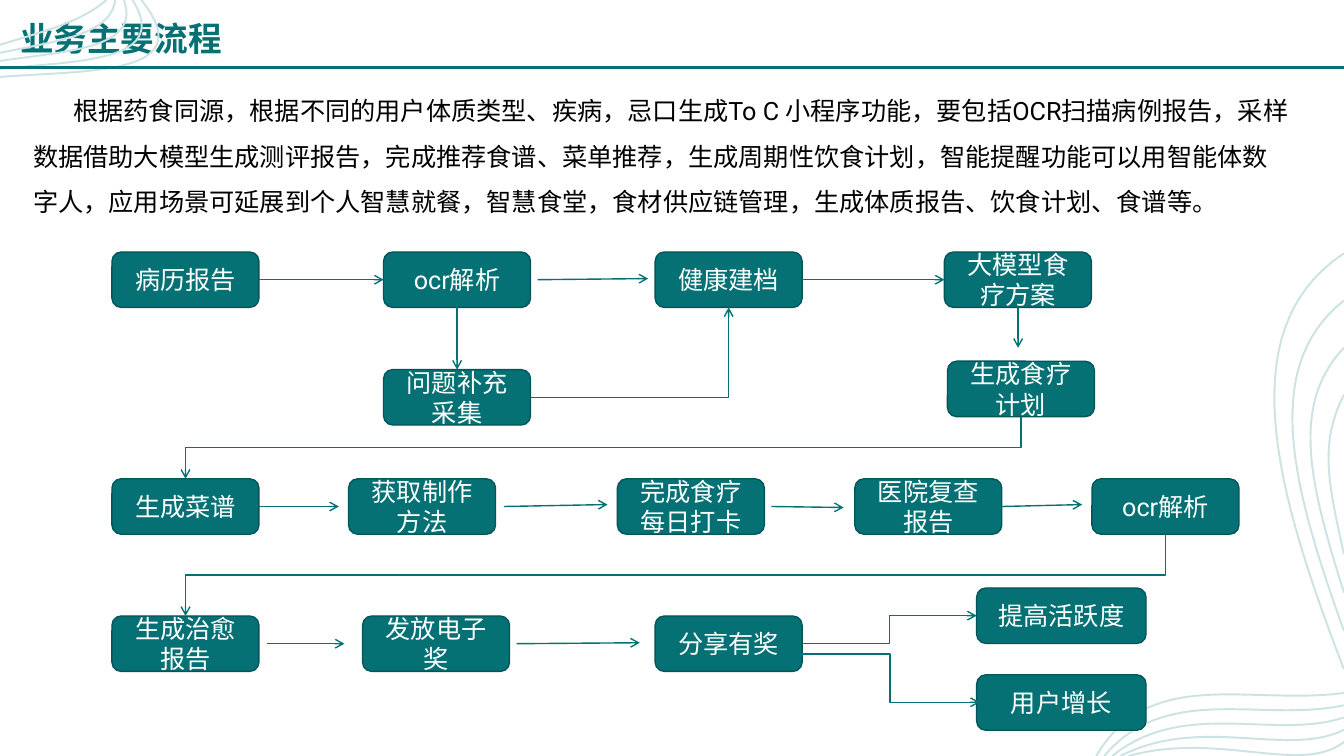
from dataclasses import dataclass
from lxml.etree import SubElement
from pptx import Presentation
from pptx.dml.color import RGBColor
from pptx.enum.lang import MSO_LANGUAGE_ID
from pptx.enum.shapes import MSO_CONNECTOR, MSO_SHAPE
from pptx.enum.text import MSO_ANCHOR, MSO_AUTO_SIZE, PP_ALIGN
from pptx.oxml.ns import qn
from pptx.util import Pt


@dataclass(frozen=True)
class Theme:
    teal: RGBColor = RGBColor.from_string("057174")
    edge: RGBColor = RGBColor.from_string("045557")
    wave: RGBColor = RGBColor.from_string("CDE3E3")
    black: RGBColor = RGBColor.from_string("000000")
    white: RGBColor = RGBColor.from_string("FFFFFF")
    font: str = "Roboto"
    title: int = 24
    body: int = 18


theme = Theme()
prs = Presentation()
prs.slide_width, prs.slide_height = Pt(960), Pt(540)
s = prs.slides.add_slide(prs.slide_layouts[5])


def write(sp, text, size, color, align, anchor, bold=False):
    tf = sp.text_frame
    tf.text = text
    tf.word_wrap = True
    tf.auto_size = MSO_AUTO_SIZE.NONE
    tf.vertical_anchor = anchor
    p = tf.paragraphs[0]
    p.alignment = align
    font = p.runs[0].font
    font.name, font.size, font.bold = theme.font, Pt(size), bold
    font.color.rgb = color
    font.language_id = MSO_LANGUAGE_ID.SIMPLIFIED_CHINESE
    return p


def connect(kind, x1, y1, x2, y2, width=1, arrow=True):
    c = s.shapes.add_connector(kind, Pt(x1), Pt(y1), Pt(x2), Pt(y2))
    c.line.color.rgb = theme.teal
    c.line.width = Pt(width)
    if arrow:
        SubElement(c.line._get_or_add_ln(), qn("a:tailEnd"), type="arrow")
    SubElement(c.element.spPr, qn("a:effectLst"))
    return c


# Background waves: each family blends from an outer to an inner cubic curve
WAVES = [
    (5, [(101, 0), (144, 54), (65, 50), (0, 55)], [(76, 0), (58, 16), (29, 23), (0, 32)]),
    (4, [(960, 181), (880, 234), (909, 346), (960, 478)],
        [(960, 282), (942, 317), (949, 346), (960, 396)]),
    (5, [(960, 495), (893, 504), (821, 475), (783, 540)],
        [(960, 530), (929, 554), (871, 522), (806, 540)]),
]
STEPS = 30
for count, outer, inner in WAVES:
    for n in range(count):
        blend = n / (count - 1)
        curve = [[a + (b - a) * blend for a, b in zip(q1, q2)]
                 for q1, q2 in zip(outer, inner)]
        points = []
        for step in range(STEPS + 1):
            t = step / STEPS
            weights = ((1 - t) ** 3, 3 * t * (1 - t) ** 2, 3 * t * t * (1 - t), t ** 3)
            points.append([Pt(sum(w * q[axis] for w, q in zip(weights, curve)))
                           for axis in (0, 1)])
        builder = s.shapes.build_freeform(*points[0])
        builder.add_line_segments(points[1:], close=False)
        sp = builder.convert_to_shape()
        sp.shadow.inherit = False
        sp.fill.background()
        sp.line.color.rgb = theme.wave
        sp.line.width = Pt(1.4)

# Title and rule
title = s.shapes.title
title.left, title.top, title.width, title.height = Pt(7.2), Pt(9.4), Pt(244), Pt(36)
write(title, "业务主要流程", theme.title, theme.teal, PP_ALIGN.LEFT, MSO_ANCHOR.TOP, True)
connect(MSO_CONNECTOR.STRAIGHT, 0, 48.2, 960, 48.2, width=2.5, arrow=False)

# Introduction
intro = s.shapes.add_textbox(Pt(16.6), Pt(54), Pt(913.7), Pt(73.4))
p = write(intro, "根据药食同源，根据不同的用户体质类型、疾病，忌口生成To C 小程序功能，"
          "要包括OCR扫描病例报告，采样数据借助大模型生成测评报告，完成推荐食谱、菜单推荐，"
          "生成周期性饮食计划，智能提醒功能可以用智能体数字人，应用场景可延展到个人智慧就餐，"
          "智慧食堂，食材供应链管理，生成体质报告、饮食计划、食谱等。",
          theme.body, theme.black, PP_ALIGN.LEFT, MSO_ANCHOR.TOP)
p.line_spacing = 1.5
p._p.get_or_add_pPr().set("indent", str(Pt(28.6)))

# Process steps by row: top, width, then name, text and left of each box
STEP_H = 39.6
ROWS = [
    (180, 105, [("record", "病历报告", 80), ("ocr", "ocr解析", 274),
                ("profile", "健康建档", 468), ("therapy", "大模型食疗方案", 674.6)]),
    (258, 105, [("plan", "生成食疗计划", 676.8)]),
    (264, 105, [("extra", "问题补充采集", 274)]),
    (342, 105, [("menu", "生成菜谱", 80), ("method", "获取制作方法", 249),
                ("checkin", "完成食疗每日打卡", 441), ("review", "医院复查报告", 610.6),
                ("ocr2", "ocr解析", 780)]),
    (440, 105, [("cured", "生成治愈报告", 80), ("award", "发放电子奖", 259),
                ("share", "分享有奖", 468)]),
    (420, 121, [("active", "提高活跃度", 697.6)]),
    (482, 121, [("growth", "用户增长", 697.6)]),
]
steps = {}
for top, width, boxes in ROWS:
    for name, text, left in boxes:
        sp = s.shapes.add_shape(MSO_SHAPE.ROUNDED_RECTANGLE,
                                Pt(left), Pt(top), Pt(width), Pt(STEP_H))
        sp.shadow.inherit = False
        sp.fill.solid()
        sp.fill.fore_color.rgb = theme.teal
        sp.line.color.rgb = theme.edge
        sp.line.width = Pt(1)
        write(sp, text, theme.body, theme.white, PP_ALIGN.CENTER, MSO_ANCHOR.MIDDLE)
        steps[name] = sp

# Joined arrows
TOP, LEFT, BOTTOM, RIGHT = range(4)
for kind, start, side1, end, side2 in [
    (MSO_CONNECTOR.STRAIGHT, "record", RIGHT, "ocr", LEFT),
    (MSO_CONNECTOR.STRAIGHT, "ocr", BOTTOM, "extra", TOP),
    (MSO_CONNECTOR.STRAIGHT, "profile", RIGHT, "therapy", LEFT),
    (MSO_CONNECTOR.ELBOW, "extra", RIGHT, "profile", BOTTOM),
    (MSO_CONNECTOR.ELBOW, "share", RIGHT, "active", LEFT),
    (MSO_CONNECTOR.ELBOW, "plan", BOTTOM, "menu", TOP),
    (MSO_CONNECTOR.ELBOW, "ocr2", BOTTOM, "cured", TOP),
]:
    c = connect(kind, 0, 0, 0, 0)
    c.begin_connect(steps[start], side1)
    c.end_connect(steps[end], side2)
    if side2 == BOTTOM:  # single bend
        c.element.spPr.find(qn("a:prstGeom")).set("prst", "bentConnector2")
    elif kind == MSO_CONNECTOR.ELBOW and side1 == BOTTOM:  # down, back left, down
        mid_x, mid_y = (c.begin_x + c.end_x) // 2, (c.begin_y + c.end_y) // 2
        run, drop = c.width, c.height
        c.left, c.top, c.width, c.height = mid_x - drop // 2, mid_y - run // 2, drop, run
        xfrm = c.element.spPr.find(qn("a:xfrm"))
        xfrm.attrib.pop("flipH", None)
        xfrm.set("rot", "5400000")

# Free arrows between neighbours: gap at each end and rise
for start, end, gap1, gap2, rise in [
    ("ocr", "profile", 5, 5, 0.8),
    ("menu", "method", 0, 7, 0),
    ("method", "checkin", 6, 7, 1.4),
    ("checkin", "review", 5, 8, -0.7),
    ("review", "ocr2", 0, 7, 1.4),
    ("cured", "award", 6, 13, 0),
    ("award", "share", 5, 11, 0.7),
]:
    a, b = steps[start], steps[end]
    y = a.top.pt + STEP_H / 2
    connect(MSO_CONNECTOR.STRAIGHT, a.left.pt + a.width.pt + gap1, y,
            b.left.pt - gap2, y - rise)
connect(MSO_CONNECTOR.STRAIGHT, 727.2, 219.6, 727.2, 248.4)
connect(MSO_CONNECTOR.ELBOW, 571.7, 467, 699.8, 501.6)

prs.save("out.pptx")
